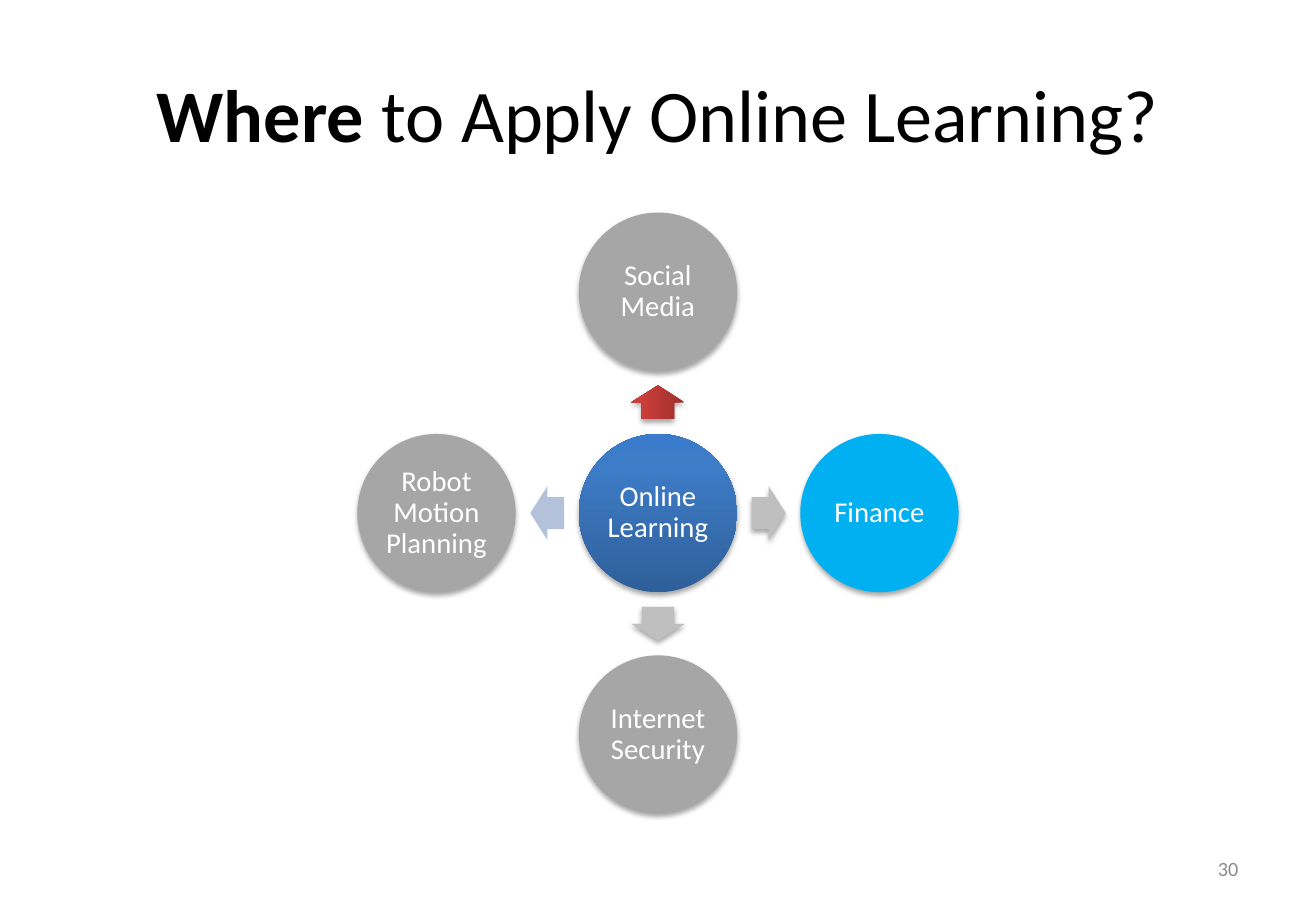
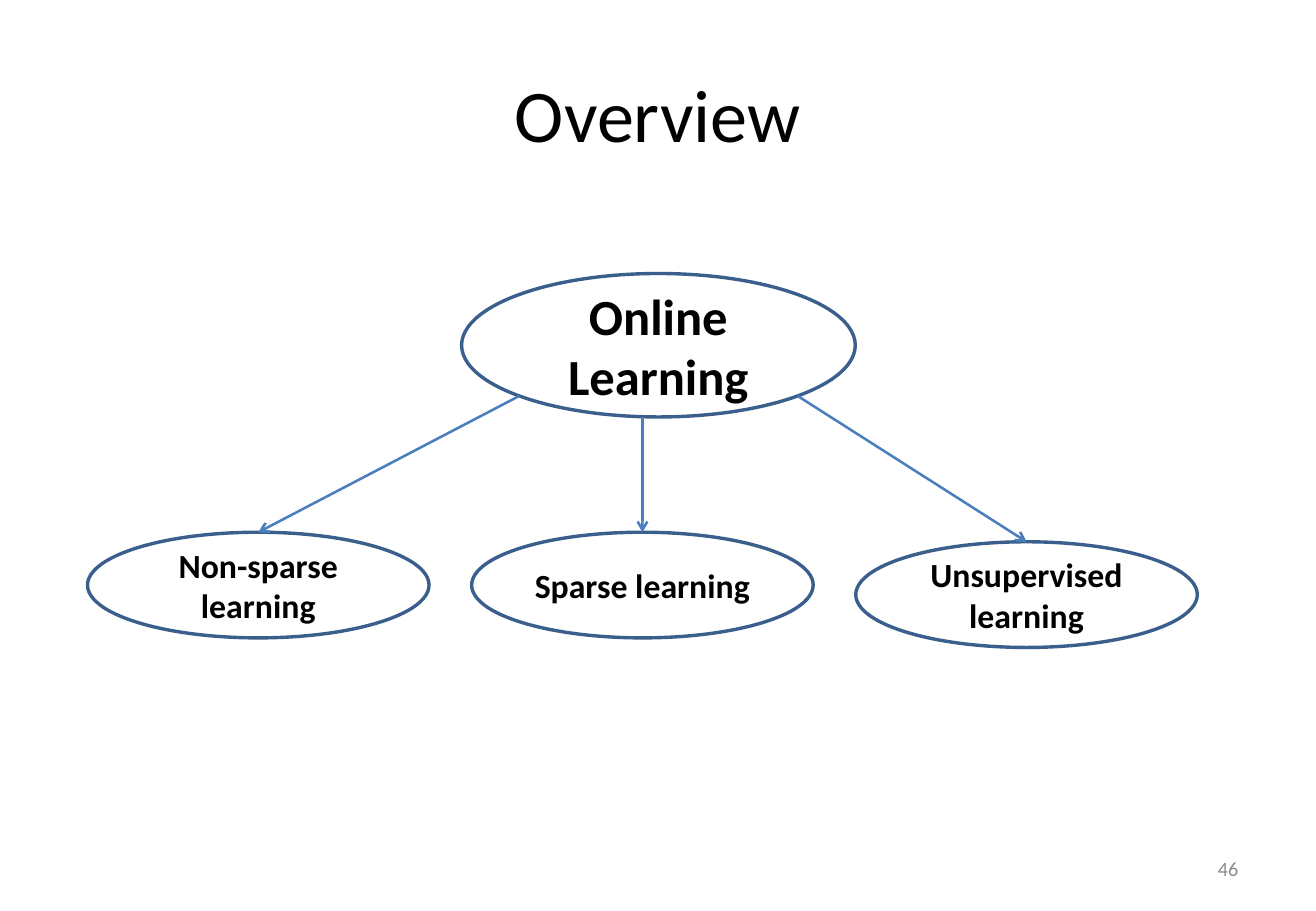
import copy
import math

import pptx
import pptx.dml.color
import pptx.enum.shapes
import pptx.enum.text
import pptx.oxml.ns
import pptx.util
from lxml import etree

Cm = pptx.util.Cm
Pt = pptx.util.Pt
RGBColor = pptx.dml.color.RGBColor
MSO_SHAPE = pptx.enum.shapes.MSO_SHAPE
PP_ALIGN = pptx.enum.text.PP_ALIGN
MSO_ANCHOR = pptx.enum.text.MSO_ANCHOR
qn = pptx.oxml.ns.qn

FONT = "Calibri"
WIDTH, HEIGHT = 27.51, 19.05
BLACK = RGBColor(0x00, 0x00, 0x00)
WHITE = RGBColor(0xFF, 0xFF, 0xFF)
NUMBER_GREY = RGBColor(0x8C, 0x8C, 0x8C)
CIRCLE_GREY = RGBColor(0xA6, 0xA6, 0xA6)
ARROW_GREY = RGBColor(0xBF, 0xBF, 0xBF)
PALE_BLUE = RGBColor(0xB3, 0xC1, 0xDB)
SKY_BLUE = RGBColor(0x00, 0xB0, 0xF0)
OUTLINE_BLUE = RGBColor(0x3A, 0x5F, 0x8C)
LINK_BLUE = RGBColor(0x4B, 0x7E, 0xBC)
BLUE_GRADIENT = (RGBColor(0x2F, 0x5F, 0x99), RGBColor(0x3D, 0x7C, 0xC7), RGBColor(0x3A, 0x7C, 0xCB))
RED_GRADIENT = (RGBColor(0x9C, 0x2F, 0x2D), RGBColor(0xCB, 0x3E, 0x3A), RGBColor(0xCE, 0x3B, 0x37))


def style_paragraph(p, size, color, align=PP_ALIGN.CENTER, bold=None):
    """Set the alignment and font of a paragraph."""
    p.alignment = align
    p.font.name = FONT
    p.font.size = Pt(size)
    p.font.color.rgb = color
    p.font.bold = bold


def add_page(prs, title_runs, number):
    """Add a slide with its title, given as (text, bold) runs, and its number."""
    s = prs.slides.add_slide(prs.slide_layouts[5])
    title = s.shapes.title
    title.left, title.top, title.width, title.height = Cm(1.37), Cm(0.76), Cm(24.77), Cm(3.18)
    title.text_frame.vertical_anchor = MSO_ANCHOR.MIDDLE
    p = title.text_frame.paragraphs[0]
    for text, bold in title_runs:
        r = p.add_run()
        r.text = text
        r.font.bold = bold
    style_paragraph(p, 44, BLACK)

    tf = s.shapes.add_textbox(Cm(19.71), Cm(17.65), Cm(6.43), Cm(1.02)).text_frame
    tf.word_wrap = True
    tf.vertical_anchor = MSO_ANCHOR.MIDDLE
    tf.text = str(number)
    style_paragraph(tf.paragraphs[0], 12, NUMBER_GREY, PP_ALIGN.RIGHT)
    return s


def add_gradient(sp, colors):
    """Fill a shape from bottom to top with three colours."""
    sp.fill.gradient()
    sp.fill.gradient_angle = 90
    stops = sp._element.spPr.find(qn("a:gradFill")).find(qn("a:gsLst"))
    stops.append(copy.deepcopy(stops[-1]))
    for stop, position, color in zip(sp.fill.gradient_stops, (0, 0.8, 1), colors):
        stop.position = position
        stop.color.rgb = color


def add_shadow(sp):
    """Give a shape a soft shadow below it."""
    effects = sp._element.spPr.find(qn("a:effectLst"))
    shadow = etree.SubElement(effects, qn("a:outerShdw"), blurRad=str(Pt(3.1)),
                              dist=str(Pt(1.8)), dir="5400000", rotWithShape="0")
    color = etree.SubElement(shadow, qn("a:srgbClr"), val="000000")
    etree.SubElement(color, qn("a:alpha"), val="35000")


def add_filled(s, kind, cx, cy, width, height, fill, shadow=True):
    """Add an unlined shape around a centre, with a plain or gradient fill."""
    sp = s.shapes.add_shape(kind, Cm(cx - width / 2), Cm(cy - height / 2), Cm(width), Cm(height))
    sp.line.fill.background()
    sp.shadow.inherit = False
    if isinstance(fill, RGBColor):
        sp.fill.solid()
        sp.fill.fore_color.rgb = fill
    else:
        add_gradient(sp, fill)
    if shadow:
        add_shadow(sp)
    return sp


def add_circle(s, cx, cy, text, fill):
    """Add a circle with a white label."""
    sp = add_filled(s, MSO_SHAPE.OVAL, cx, cy, 3.31, 3.31, fill)
    tf = sp.text_frame
    tf.margin_left = tf.margin_right = tf.margin_top = tf.margin_bottom = Cm(0.05)
    tf.vertical_anchor = MSO_ANCHOR.MIDDLE
    tf.text = text
    p = tf.paragraphs[0]
    p.line_spacing = 0.9
    style_paragraph(p, 17, WHITE)


def add_arrow(s, cx, cy, rotation, fill, shadow):
    """Add a block arrow turned clockwise from pointing right."""
    sp = add_filled(s, MSO_SHAPE.RIGHT_ARROW, cx, cy, 0.71, 1.12, fill, shadow)
    sp.adjustments[0], sp.adjustments[1] = 0.6, 0.5
    sp.rotation = rotation


def add_ellipse(s, left, top, width, height, text, size):
    """Add an outlined white ellipse with a bold label."""
    sp = s.shapes.add_shape(MSO_SHAPE.OVAL, Cm(left), Cm(top), Cm(width), Cm(height))
    sp.shadow.inherit = False
    sp.fill.solid()
    sp.fill.fore_color.rgb = WHITE
    sp.line.color.rgb = OUTLINE_BLUE
    sp.line.width = Pt(2)
    tf = sp.text_frame
    tf.vertical_anchor = MSO_ANCHOR.MIDDLE
    tf.text = text
    style_paragraph(tf.paragraphs[0], size, BLACK, bold=True)
    return sp


def add_link(s, x, y, child):
    """Draw an arrow from a point to the top of a child shape."""
    c = s.shapes.add_connector(pptx.enum.shapes.MSO_CONNECTOR.STRAIGHT, x, y, x, y)
    c.end_connect(child, 0)
    c.line.color.rgb = LINK_BLUE
    c.line.width = Pt(1.5)
    etree.SubElement(c.line._get_or_add_ln(), qn("a:tailEnd"), type="arrow")
    etree.SubElement(c._element.spPr, qn("a:effectLst"))


def build_applications(prs):
    """Build the wheel of application areas."""
    s = add_page(prs, [("Where", True), (" to Apply Online Learning?", False)], 30)
    cx, cy, radius = WIDTH / 2, 10.73, 4.63
    add_circle(s, cx, cy, "Online Learning", BLUE_GRADIENT)
    areas = [
        ("Social Media", 270, CIRCLE_GREY, RED_GRADIENT, True),
        ("Finance", 0, SKY_BLUE, ARROW_GREY, True),
        ("Internet Security", 90, CIRCLE_GREY, ARROW_GREY, True),
        ("Robot Motion Planning", 180, CIRCLE_GREY, PALE_BLUE, False),
    ]
    for text, angle, fill, arrow_fill, arrow_shadow in areas:
        dx = radius * math.cos(math.radians(angle))
        dy = radius * math.sin(math.radians(angle))
        add_arrow(s, cx + dx / 2, cy + dy / 2, angle, arrow_fill, arrow_shadow)
        add_circle(s, cx + dx, cy + dy, text, fill)


def build_overview(prs):
    """Build the tree of learning types."""
    s = add_page(prs, [("Overview", None)], 46)
    root = add_ellipse(s, 9.65, 5.72, 8.23, 3, "Online Learning", 30)
    cx, cy = root.left + root.width // 2, root.top + root.height // 2
    diagonal = math.cos(math.pi / 4) / 2
    branches = [("Non-sparse learning", 11.13), ("Sparse learning", 11.13),
                ("Unsupervised learning", 11.33)]
    for i, (text, top) in enumerate(branches):
        child = add_ellipse(s, 1.83 + 8.03 * i, top, 7.14, 2.21, text, 20)
        side = i - 1
        if side:
            x, y = cx + side * root.width * diagonal, cy + root.height * diagonal
        else:
            x, y = child.left + child.width // 2, root.top + root.height
        add_link(s, int(x), int(y), child)


def main():
    """Build and save the presentation."""
    prs = pptx.Presentation()
    prs.slide_width, prs.slide_height = Cm(WIDTH), Cm(HEIGHT)
    build_applications(prs)
    build_overview(prs)
    prs.save("out.pptx")


if __name__ == "__main__":
    main()
